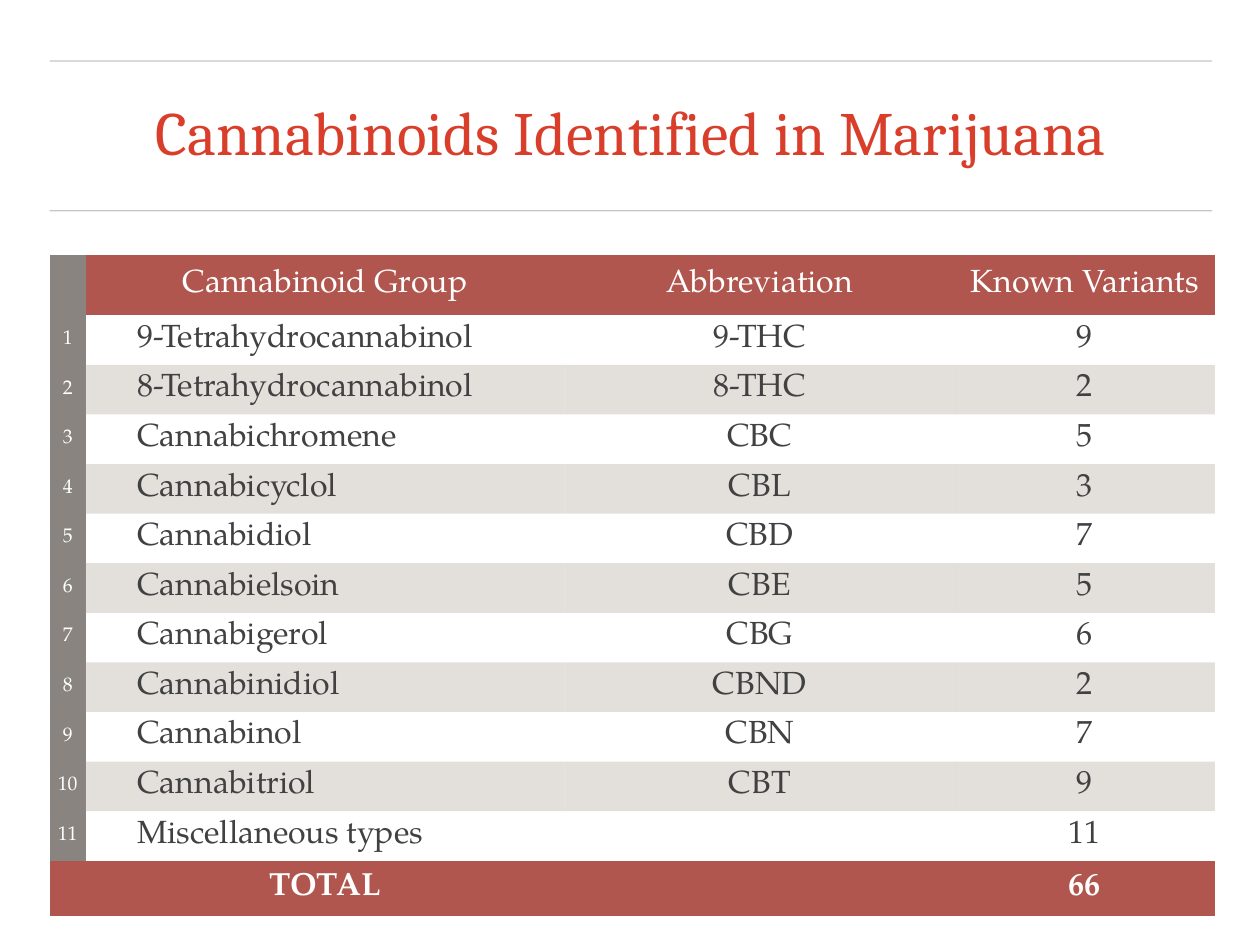
import pptx
import pptx.util
import pptx.dml.color
import pptx.enum.shapes
import pptx.enum.text
import pptx.oxml.ns
import lxml.etree

TITLE = "Cannabinoids Identified in Marijuana"
HEADER = ("", "Cannabinoid Group", "Abbreviation", "Known Variants")
GROUPS = [
    ("9-Tetrahydrocannabinol", "9-THC", "9"),
    ("8-Tetrahydrocannabinol", "8-THC", "2"),
    ("Cannabichromene", "CBC", "5"),
    ("Cannabicyclol", "CBL", "3"),
    ("Cannabidiol", "CBD", "7"),
    ("Cannabielsoin", "CBE", "5"),
    ("Cannabigerol", "CBG", "6"),
    ("Cannabinidiol", "CBND", "2"),
    ("Cannabinol", "CBN", "7"),
    ("Cannabitriol", "CBT", "9"),
    ("Miscellaneous types", "", "11"),
]
TOTAL = ("", "TOTAL", "", "66")

WIDTH, HEIGHT = 14.22, 10.67
LEFT, CONTENT_WIDTH = 0.56, 13.12
RULE_TOPS = (0.69, 2.38)
TITLE_HEIGHT = 1.33
TABLE_TOP = 2.88
COLUMN_WIDTHS = (0.41, 5.4, 4.41, 2.93)
HEADER_HEIGHT, GROUP_HEIGHT, TOTAL_HEIGHT = 0.68, 0.56, 0.62
CELL_MARGIN, NAME_INDENT = 0.06, 0.58
NO_STYLE = "{2D5ABB26-0587-4C30-8999-92F81FD0307C}"

RED, GREY, BAND = "B0564E", "89847F", "C9C3BA"
WHITE, DARK = "FFFFFF", "414141"
TITLE_FONT = {"name": "Cambria", "size": pptx.util.Pt(50), "bold": False}
LABEL_FONT = {"name": "TeX Gyre Pagella", "size": pptx.util.Pt(26), "bold": False}
NUMBER_FONT = {**LABEL_FONT, "size": pptx.util.Pt(16)}
TOTAL_FONT = {**LABEL_FONT, "bold": True}

inch = pptx.util.Inches
ALIGN = pptx.enum.text.PP_ALIGN
MIDDLE = pptx.enum.text.MSO_ANCHOR.MIDDLE


def paint(fill, color, opacity=100):
    fill.solid()
    fill.fore_color.rgb = pptx.dml.color.RGBColor.from_string(color)
    if opacity < 100:
        tint = fill._xPr.find(".//" + pptx.oxml.ns.qn("a:srgbClr"))
        alpha = lxml.etree.SubElement(tint, pptx.oxml.ns.qn("a:alpha"))
        alpha.set("val", str(opacity * 1000))


def write(para, text, formats, color, align):
    para.alignment = align
    span = para.add_run()
    span.text = text
    for key, value in formats.items():
        setattr(span.font, key, value)
    paint(span.font.fill, color)


def add_rule(page, top):
    rule = page.shapes.add_connector(
        pptx.enum.shapes.MSO_CONNECTOR.STRAIGHT,
        inch(LEFT), inch(top), inch(LEFT + CONTENT_WIDTH), inch(top))
    rule.line.width = pptx.util.Pt(1)
    paint(rule.line.fill, "444444", 30)
    lxml.etree.SubElement(rule._element.spPr, pptx.oxml.ns.qn("a:effectLst"))


def add_title(page):
    title = page.shapes.title
    top = (sum(RULE_TOPS) - TITLE_HEIGHT) / 2
    title.left, title.top = inch(LEFT), inch(top)
    title.width, title.height = inch(CONTENT_WIDTH), inch(TITLE_HEIGHT)
    frame = title.text_frame
    layout = {"margin_left": 0, "margin_right": 0, "margin_top": 0,
              "margin_bottom": 0, "vertical_anchor": MIDDLE, "word_wrap": True}
    for key, value in layout.items():
        setattr(frame, key, value)
    para = frame.paragraphs[0]
    para.line_spacing = 0.9
    write(para, TITLE, TITLE_FONT, "D93E2B", ALIGN.CENTER)


def cell_look(row, column, last):
    if row == last:
        return RED, 100, TOTAL_FONT, WHITE
    if column == 0:
        return GREY, 100, NUMBER_FONT, WHITE
    if row == 0:
        return RED, 100, LABEL_FONT, WHITE
    return (None if row % 2 else BAND), 50, LABEL_FONT, DARK


def fill_cell(cell, text, row, column, last):
    back, opacity, formats, color = cell_look(row, column, last)
    is_name = column == 1 and 0 < row < last
    for side in ("left", "right", "top", "bottom"):
        setattr(cell, "margin_" + side, inch(CELL_MARGIN))
    if is_name:
        cell.margin_left = inch(NAME_INDENT)
    cell.vertical_anchor = MIDDLE
    if back:
        paint(cell.fill, back, opacity)
    else:
        cell.fill.background()
    if text:
        write(cell.text_frame.paragraphs[0], text, formats, color,
              ALIGN.LEFT if is_name else ALIGN.CENTER)


def add_group_table(page):
    numbered = [(str(number), *group) for number, group in enumerate(GROUPS, 1)]
    rows = [HEADER, *numbered, TOTAL]
    heights = [HEADER_HEIGHT, *[GROUP_HEIGHT] * len(GROUPS), TOTAL_HEIGHT]
    table = page.shapes.add_table(
        len(rows), len(COLUMN_WIDTHS), inch(LEFT), inch(TABLE_TOP),
        inch(sum(COLUMN_WIDTHS)), inch(sum(heights))).table
    table.first_row = table.horz_banding = False
    table._tbl.tblPr.find(pptx.oxml.ns.qn("a:tableStyleId")).text = NO_STYLE
    for column, width in zip(table.columns, COLUMN_WIDTHS):
        column.width = inch(width)
    for row, height in zip(table.rows, heights):
        row.height = inch(height)
    for row, texts in enumerate(rows):
        for column, text in enumerate(texts):
            fill_cell(table.cell(row, column), text, row, column, len(rows) - 1)


def main():
    deck = pptx.Presentation()
    deck.slide_width, deck.slide_height = inch(WIDTH), inch(HEIGHT)
    page = deck.slides.add_slide(deck.slide_layouts[5])
    paint(page.background.fill, WHITE)
    for top in RULE_TOPS:
        add_rule(page, top)
    add_title(page)
    add_group_table(page)
    deck.save("out.pptx")


if __name__ == "__main__":
    main()
